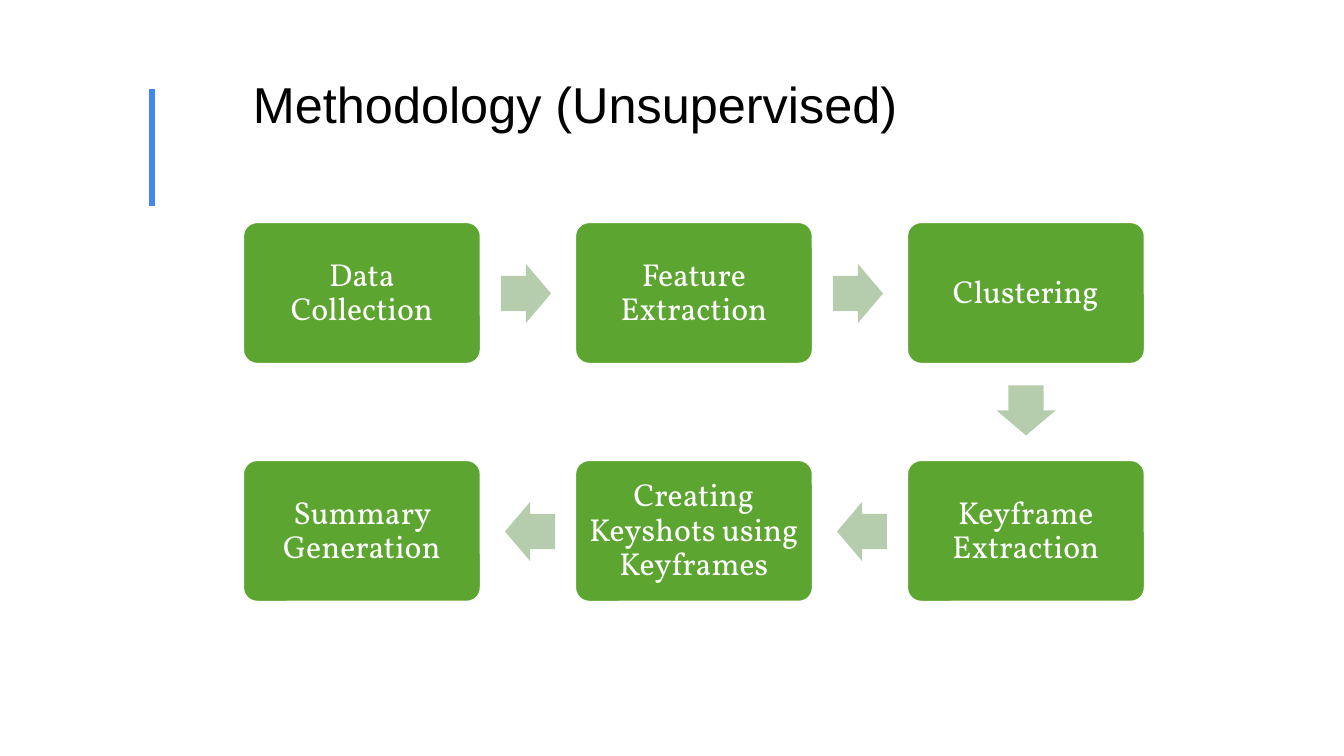
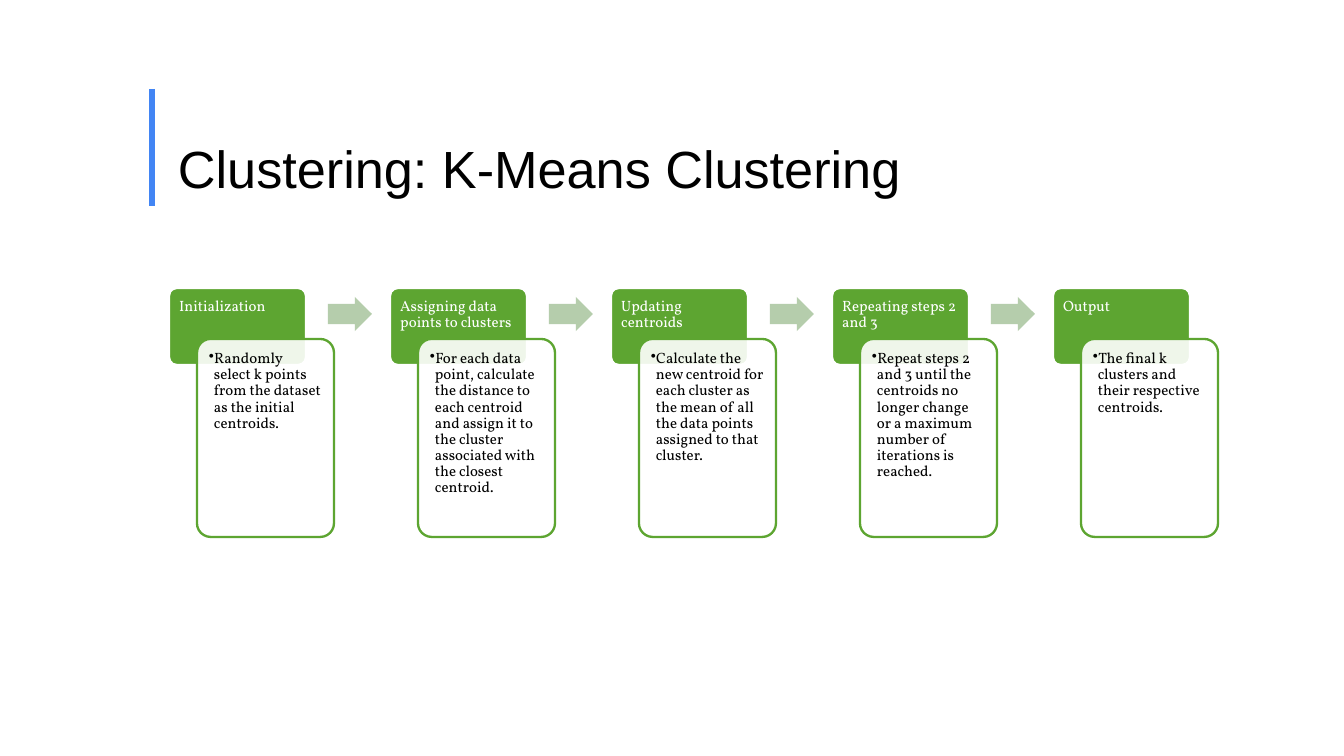
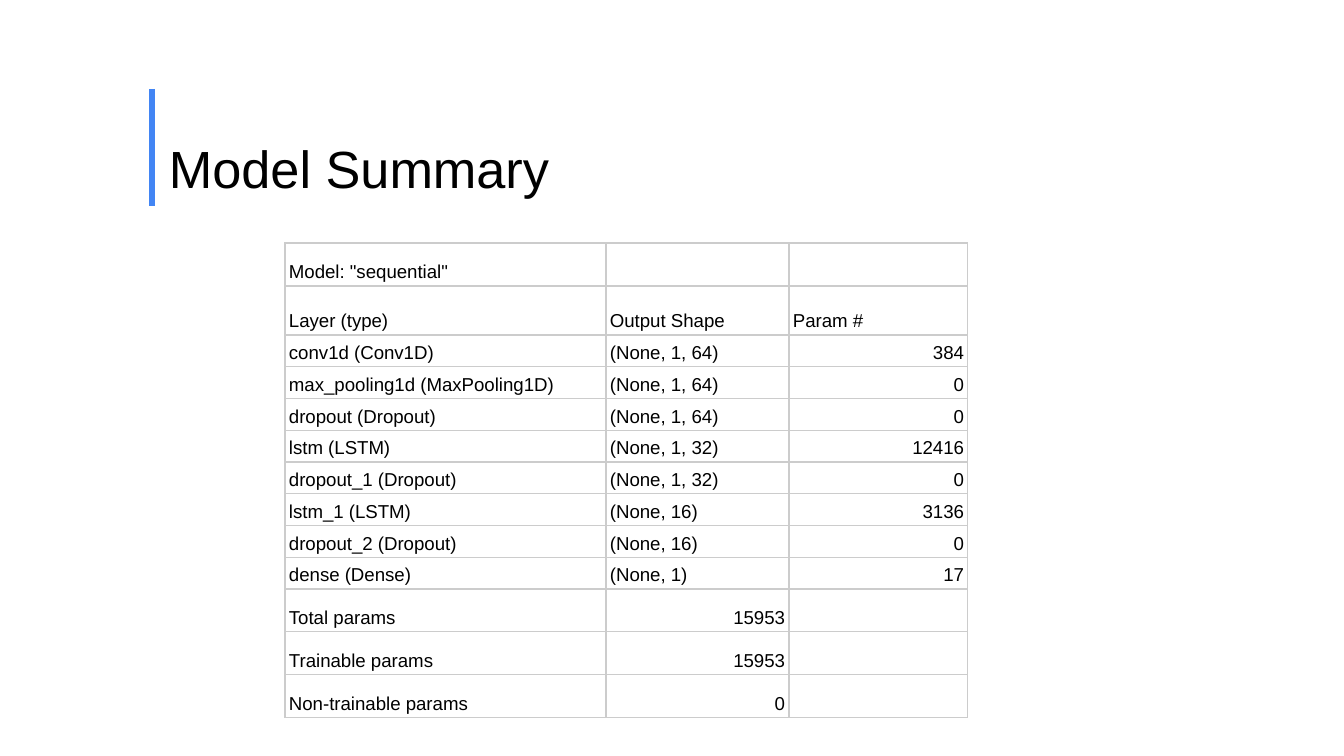
from lxml import etree
from pptx import Presentation
from pptx.dml.color import RGBColor
from pptx.enum.shapes import MSO_CONNECTOR, MSO_SHAPE
from pptx.enum.text import MSO_ANCHOR, PP_ALIGN
from pptx.oxml.ns import qn
from pptx.util import Pt

EMU_PER_PX = 9144000 / 1344

STRAIGHT = MSO_CONNECTOR.STRAIGHT
ROUNDED = MSO_SHAPE.ROUNDED_RECTANGLE
ARROW = MSO_SHAPE.RIGHT_ARROW
TOP, MIDDLE, BOTTOM = MSO_ANCHOR.TOP, MSO_ANCHOR.MIDDLE, MSO_ANCHOR.BOTTOM
LEFT, CENTER, RIGHT = PP_ALIGN.LEFT, PP_ALIGN.CENTER, PP_ALIGN.RIGHT

WHITE = RGBColor(0xFF, 0xFF, 0xFF)
BLACK = RGBColor(0x00, 0x00, 0x00)
BLUE = RGBColor(0x42, 0x85, 0xF4)
GREEN = RGBColor(0x5D, 0xA5, 0x31)
PALE_GREEN = RGBColor(0xB5, 0xCD, 0xAC)
GRID_GRAY = RGBColor(0xCC, 0xCC, 0xCC)

HEADING_FONT = "Arial"
DIAGRAM_FONT = "Vollkorn"

METHOD_STEPS = [
    ("Data Collection", 0, 0),
    ("Feature Extraction", 1, 0),
    ("Clustering", 2, 0),
    ("Keyframe Extraction", 2, 1),
    ("Creating Keyshots using Keyframes", 1, 1),
    ("Summary Generation", 0, 1),
]

KMEANS_STEPS = [
    ("Initialization",
     "Randomly select k points from the dataset as the initial centroids."),
    ("Assigning data points to clusters",
     "For each data point, calculate the distance to each centroid and assign it "
     "to the cluster associated with the closest centroid."),
    ("Updating centroids",
     "Calculate the new centroid for each cluster as the mean of all the data "
     "points assigned to that cluster."),
    ("Repeating steps 2 and 3",
     "Repeat steps 2 and 3 until the centroids no longer change or a maximum "
     "number of iterations is reached."),
    ("Output",
     "The final k clusters and their respective centroids."),
]

MODEL_ROWS = [
    ('Model: "sequential"', "", ""),
    ("Layer (type)", "Output Shape", "Param #"),
    ("conv1d (Conv1D)", "(None, 1, 64)", "384"),
    ("max_pooling1d (MaxPooling1D)", "(None, 1, 64)", "0"),
    ("dropout (Dropout)", "(None, 1, 64)", "0"),
    ("lstm (LSTM)", "(None, 1, 32)", "12416"),
    ("dropout_1 (Dropout)", "(None, 1, 32)", "0"),
    ("lstm_1 (LSTM)", "(None, 16)", "3136"),
    ("dropout_2 (Dropout)", "(None, 16)", "0"),
    ("dense (Dense)", "(None, 1)", "17"),
    ("Total params", "15953", ""),
    ("Trainable params", "15953", ""),
    ("Non-trainable params", "0", ""),
]


def px(*lengths):
    return [round(length * EMU_PER_PX) for length in lengths]


class Deck:
    def __init__(self):
        self.presentation = Presentation()
        width, height = px(1344, 756)
        self.presentation.slide_width = width
        self.presentation.slide_height = height
        self.slide = None

    def add_slide(self, title, left, top=89, indent=0, size=28):
        layout = self.presentation.slide_layouts[6]
        self.slide = self.presentation.slides.add_slide(layout)
        self.accent_line()
        box = self.slide.shapes.add_textbox(*px(left, top, 1050, 116))
        self.set_text(box.text_frame, title, size, BLACK, HEADING_FONT,
                      anchor=BOTTOM, margins=(9 + indent, 5, 9, 5))

    def accent_line(self):
        line = self.slide.shapes.add_connector(STRAIGHT, *px(152, 89, 152, 206))
        line.line.color.rgb = BLUE
        line.line.width = Pt(3)
        etree.SubElement(line.element.spPr, qn("a:effectLst"))

    def set_text(self, frame, text, size, color, font, align=LEFT, anchor=TOP,
                 margins=(8, 8, 8, 8)):
        frame.word_wrap = True
        frame.vertical_anchor = anchor
        (frame.margin_left, frame.margin_top,
         frame.margin_right, frame.margin_bottom) = px(*margins)
        paragraph = frame.paragraphs[0]
        paragraph.text = text
        self.style(paragraph, size, color, font, align, 0.9)
        return paragraph

    def style(self, paragraph, size, color, font, align, spacing):
        paragraph.alignment = align
        paragraph.line_spacing = spacing
        paragraph.font.size = Pt(size)
        paragraph.font.name = font
        paragraph.font.color.rgb = color

    def card(self, left, top, width, height, fill=GREEN, line=WHITE):
        shape = self.slide.shapes.add_shape(ROUNDED, *px(left, top, width, height))
        shape.adjustments[0] = 0.1
        shape.shadow.inherit = False
        shape.fill.solid()
        shape.fill.fore_color.rgb = fill
        shape.line.color.rgb = line
        shape.line.width = Pt(1.25)
        return shape

    def label_card(self, text, left, top, width, height, size, align, anchor):
        shape = self.card(left, top, width, height)
        self.set_text(shape.text_frame, text, size, WHITE, DIAGRAM_FONT, align, anchor)

    def detail_card(self, text, left, top, width, height):
        shape = self.card(left, top, width, height, WHITE, GREEN)
        color = shape.element.spPr.find(qn("a:solidFill"))[0]
        etree.SubElement(color, qn("a:alpha"), val="90000")
        paragraph = self.set_text(shape.text_frame, text, 8, BLACK, DIAGRAM_FONT)
        paragraph.level = 1
        self.bullet(paragraph, 5, -8)

    def bullet(self, paragraph, margin, indent):
        properties = paragraph._p.get_or_add_pPr()
        margin, indent = px(margin, indent)
        properties.set("marL", str(margin))
        properties.set("indent", str(indent))
        mark = etree.Element(qn("a:buChar"), char="•")
        properties.find(qn("a:defRPr")).addprevious(mark)

    def arrow(self, left, top, width, height, rotation=0):
        shape = self.slide.shapes.add_shape(ARROW, *px(left, top, width, height))
        shape.adjustments[0] = 0.6
        shape.adjustments[1] = 0.5
        shape.rotation = rotation
        shape.shadow.inherit = False
        shape.fill.solid()
        shape.fill.fore_color.rgb = PALE_GREEN
        shape.line.fill.background()

    def table(self, rows, left, top, column_widths, row_heights):
        frame = self.slide.shapes.add_table(
            len(rows), len(column_widths),
            *px(left, top, sum(column_widths), sum(row_heights)))
        table = frame.table
        table.first_row = False
        table.horz_banding = False
        for column, width in zip(table.columns, px(*column_widths)):
            column.width = width
        for row, height, texts in zip(table.rows, px(*row_heights), rows):
            row.height = height
            for cell, text in zip(row.cells, texts):
                self.fill_cell(cell, text)

    def fill_cell(self, cell, text):
        cell.vertical_anchor = BOTTOM
        (cell.margin_left, cell.margin_top,
         cell.margin_right, cell.margin_bottom) = px(4, 3, 4, 3)
        paragraph = cell.text_frame.paragraphs[0]
        paragraph.text = text
        align = RIGHT if text.isdigit() else LEFT
        self.style(paragraph, 10, BLACK, HEADING_FONT, align, 1.15)
        properties = cell._tc.get_or_add_tcPr()
        for side in ("a:lnL", "a:lnR", "a:lnT", "a:lnB"):
            border = etree.SubElement(properties, qn(side), w=str(Pt(0.75)))
            fill = etree.SubElement(border, qn("a:solidFill"))
            etree.SubElement(fill, qn("a:srgbClr"), val=str(GRID_GRAY))
        cell.fill.background()


def methodology_slide(deck):
    deck.add_slide("Methodology (Unsupervised)", 157, top=23, indent=87, size=27)
    width, height = 238, 142
    arrow_width, arrow_height, lag = 50, 59, 2
    rotations = {(1, 0): 0, (0, 1): 90, (-1, 0): 180}
    previous = None
    for text, column, row in METHOD_STEPS:
        left, top = 243 + 332 * column, 222 + 238 * row
        if previous:
            old_column, old_row, old_left, old_top = previous
            step = (column - old_column, row - old_row)
            center_x = (left + old_left + width) // 2 - lag * step[0]
            center_y = (top + old_top + height) // 2 - lag * step[1]
            deck.arrow(center_x - arrow_width // 2, center_y - arrow_height // 2,
                       arrow_width, arrow_height, rotations[step])
        deck.label_card(text, left, top, width, height, 17, CENTER, MIDDLE)
        previous = (column, row, left, top)


def kmeans_slide(deck):
    deck.add_slide("Clustering: K-Means Clustering", 169)
    for index, (name, detail) in enumerate(KMEANS_STEPS):
        left = 169 + 221 * index
        deck.label_card(name, left, 288, 137, 77, 8, LEFT, TOP)
        deck.detail_card(detail, left + 28, 339, 137, 198)
        if index < len(KMEANS_STEPS) - 1:
            deck.arrow(left + 159, 297, 44, 34)


def model_slide(deck):
    deck.add_slide("Model Summary", 160)
    row_heights = [43, 49] + [31] * 8 + [43] * 3
    deck.table(MODEL_ROWS, 285, 243, [321, 183, 179], row_heights)


def main():
    deck = Deck()
    methodology_slide(deck)
    kmeans_slide(deck)
    model_slide(deck)
    deck.presentation.save("out.pptx")


if __name__ == "__main__":
    main()
